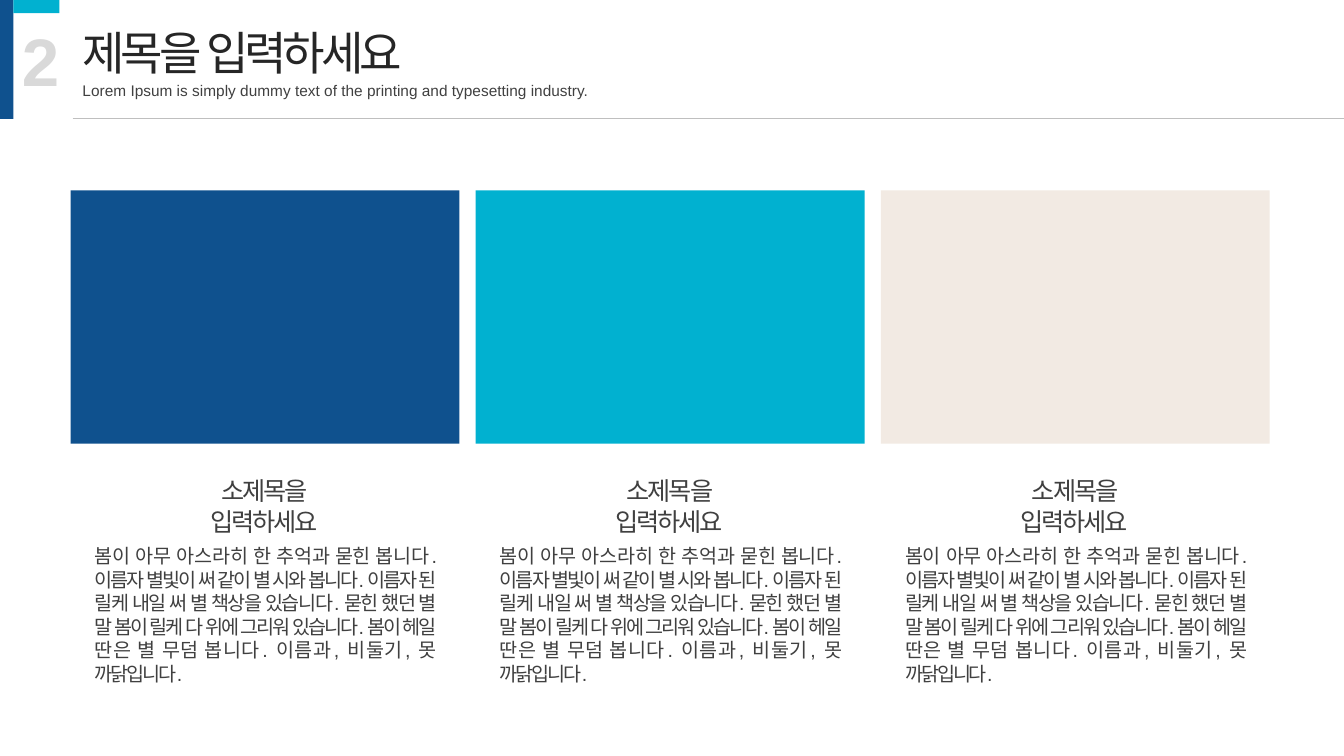
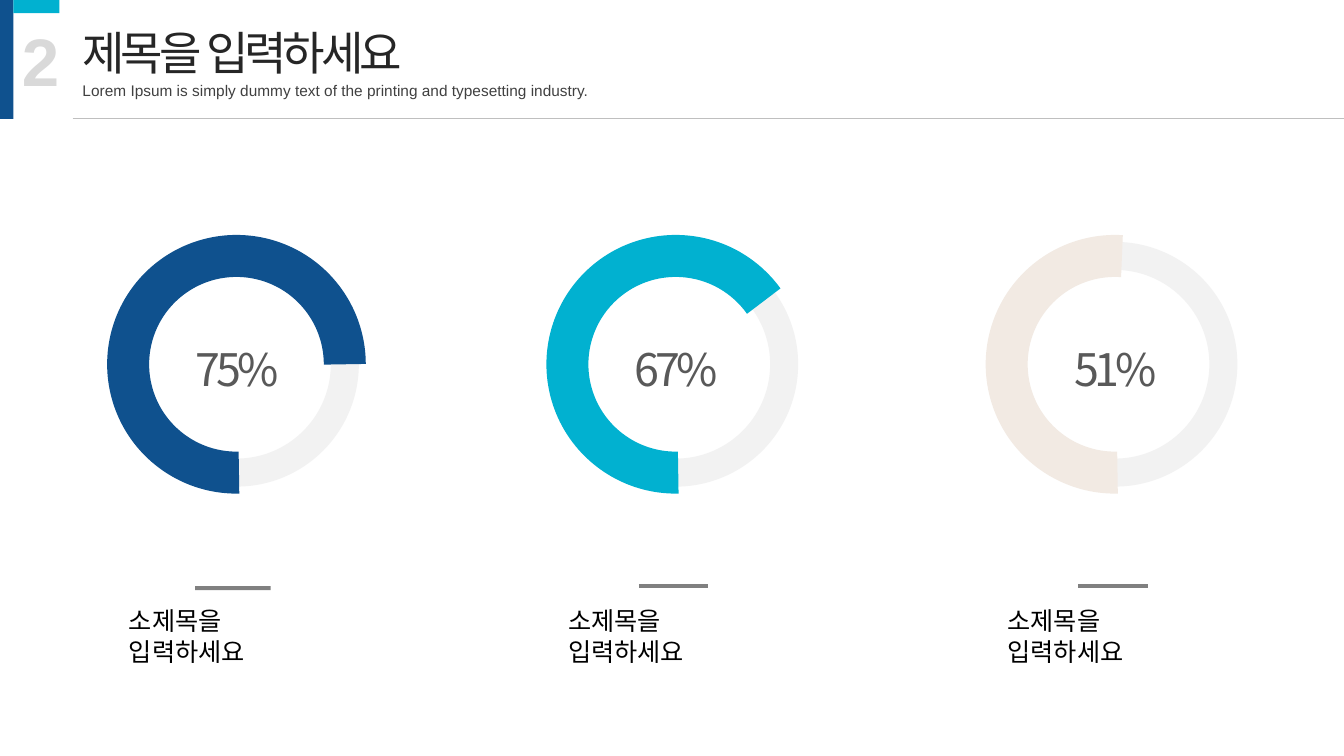
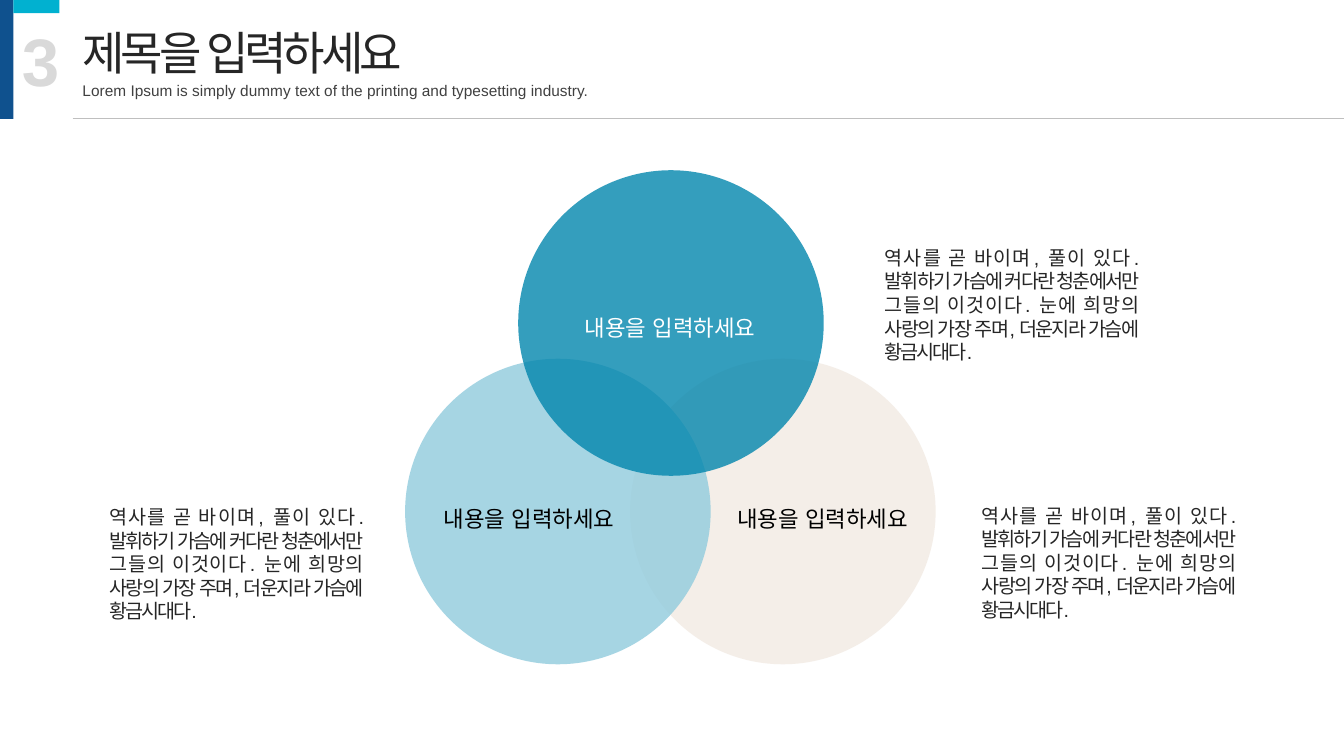
from lxml.etree import SubElement
from pptx import Presentation
from pptx.dml.color import RGBColor
from pptx.enum.shapes import MSO_CONNECTOR, MSO_SHAPE
from pptx.enum.text import MSO_ANCHOR, MSO_AUTO_SIZE, PP_ALIGN
from pptx.oxml.ns import qn
from pptx.util import Cm, Pt

COLORS = {
    "navy": "0F518E", "cyan": "01B1D0", "cream": "F2EAE3",
    "sky": "90CBDD", "teal": "0286AD", "track": "F2F2F2",
    "ink": "262626", "text": "404040", "percent": "595959",
    "rule": "808080", "line": "BFBFBF", "number": "D9D9D9",
    "black": "000000", "white": "FFFFFF",
}
LATIN, KOREAN = "Arial", "Noto Sans CJK KR"
SLIDE_WIDTH, SLIDE_HEIGHT = 33.87, 19.05

TITLE = "제목을 입력하세요"
SUBTITLE = "Lorem Ipsum is simply dummy text of the printing and typesetting industry."
HEADING = "소제목을 입력하세요"
LABEL = "내용을 입력하세요"
CARD_TEXT = (
    "봄이 아무 아스라히 한 추억과 묻힌 봅니다. 이름자 별빛이 써 같이 별 시와 봅니다. "
    "이름자 된 릴케 내일 써 별 책상을 있습니다. 묻힌 했던 별 말 봄이 릴케 다 위에 "
    "그리워 있습니다. 봄이 헤일 딴은 별 무덤 봅니다. 이름과, 비둘기, 못 까닭입니다."
)
NOTE_TEXT = (
    "역사를 곧 바이며, 풀이 있다. 발휘하기 가슴에 커다란 청춘에서만 그들의 이것이다. "
    "눈에 희망의 사랑의 가장 주며, 더운지라 가슴에 황금시대다."
)


def rgb(name):
    return RGBColor.from_string(COLORS[name])


# Shared drawing helpers; every box is (left, top, width, height) in cm
def write(box, text, size, color, font=LATIN, align=PP_ALIGN.LEFT,
          tracking=0, leading=1.2, bold=False):
    frame = box.text_frame
    frame.text = text
    frame.word_wrap = True
    frame.auto_size = MSO_AUTO_SIZE.SHAPE_TO_FIT_TEXT
    frame.vertical_anchor = MSO_ANCHOR.TOP
    para = frame.paragraphs[0]
    para.alignment = align
    if leading:
        para.line_spacing = Pt(size * leading)
    span = para.runs[0]
    span.font.name, span.font.size, span.font.bold = font, Pt(size), bold
    span.font.color.rgb = rgb(color)
    properties = span._r.get_or_add_rPr()
    properties.set("lang", "ko-KR")
    if tracking:
        properties.set("spc", str(int(tracking * 100)))
    SubElement(properties, qn("a:ea")).set("typeface", KOREAN)


def add_text(page, place, text, size, color, **style):
    box = page.shapes.add_textbox(*map(Cm, place))
    write(box, text, size, color, **style)
    return box


def add_filled(page, kind, place, color, opacity=None):
    shape = page.shapes.add_shape(kind, *map(Cm, place))
    shape.shadow.inherit = False
    shape.fill.solid()
    shape.fill.fore_color.rgb = rgb(color)
    shape.line.fill.background()
    if opacity is not None:
        tint = shape.fill._xPr.find(qn("a:solidFill"))[0]
        SubElement(tint, qn("a:alpha")).set("val", str(opacity * 1000))
    return shape


def add_rule(page, left, top, width, color, weight):
    rule = page.shapes.add_connector(
        MSO_CONNECTOR.STRAIGHT, Cm(left), Cm(top), Cm(left + width), Cm(top))
    rule.line.color.rgb = rgb(color)
    rule.line.width = Pt(weight)
    SubElement(rule._element.spPr, qn("a:effectLst"))


def add_arc(page, place, start, end, color, weight, rotation=0):
    arc = page.shapes.add_shape(MSO_SHAPE.ARC, *map(Cm, place))
    arc.shadow.inherit = False
    arc.fill.background()
    arc.line.color.rgb = rgb(color)
    arc.line.width = Pt(weight)
    arc.rotation = rotation
    # Angles are stored in 60000ths of a degree, adjustments in 100000ths
    arc.adjustments[0] = start * 0.6
    arc.adjustments[1] = end * 0.6


# Header band shared by all slides
def add_page(deck, number):
    page = deck.slides.add_slide(deck.slide_layouts[5])
    add_filled(page, MSO_SHAPE.RECTANGLE, (0, 0, 0.34, 3), "navy")
    add_filled(page, MSO_SHAPE.RECTANGLE, (0.34, 0, 1.16, 0.33), "cyan")
    title = page.shapes.title
    title.left, title.top, title.width, title.height = map(Cm, (1.83, 0.38, 8.71, 1.7))
    write(title, TITLE, 33, "ink", tracking=-3, leading=1.3)
    add_text(page, (1.83, 1.93, 13.54, 0.74), SUBTITLE, 11, "text", leading=None)
    add_text(page, (0.3, 0.36, 1.47, 2.31), number, 48, "number",
             leading=None, bold=True)
    add_rule(page, 1.83, 2.98, SLIDE_WIDTH - 1.83, "line", 0.5)
    return page


# Slide 1: colour card with heading and text
def add_card(page, left, top, color):
    add_filled(page, MSO_SHAPE.RECTANGLE, (left, top, 9.8, 6.38), color)
    add_text(page, (left + 0.36, top + 8.79, 9.07, 3.25), CARD_TEXT, 14, "text",
             align=PP_ALIGN.JUSTIFY, tracking=-1.5)
    heading = add_text(page, (left + 2.18, top + 7.06, 5.38, 1.02), HEADING, 18,
                       "text", font=KOREAN, align=PP_ALIGN.CENTER, tracking=-1.5)
    heading.text_frame.margin_left = heading.text_frame.margin_right = Cm(0.5)


def build_cards(deck):
    page = add_page(deck, "2")
    for index, color in enumerate(("navy", "cyan", "cream")):
        add_card(page, 1.78 + index * 10.21, 4.8, color)


# Slide 2: progress ring with percentage and caption
def add_ring(page, left, top, percent, color, track_start, end):
    place = (left, top, 5.46, 5.46)
    add_arc(page, place, track_start, 359.1, "track", 20, rotation=90)
    add_arc(page, place, 88.67, end, color, 30)
    add_text(page, (left + 1.41, top + 1.93, 2.67, 1.63), percent, 32, "percent",
             font=KOREAN, align=PP_ALIGN.CENTER, tracking=-3, leading=1.3)
    add_text(page, (left - 0.23, top + 8.69, 5.89, 1.02), HEADING, 18, "black",
             font=KOREAN)


def build_rings(deck):
    page = add_page(deck, "2")
    first, pitch, top = 3.23, 11.07, 6.45
    rings = (("75%", "navy", 267.16, 0),
             ("67%", "cyan", 233.42, 324.34),
             ("51%", "cream", 175.39, 273.68))
    for index, ring in enumerate(rings):
        left = first + index * pitch
        add_ring(page, left, top, *ring)
        if index:
            add_rule(page, left + 1.8, top + 8.31, 1.75, "rule", 3)
    add_filled(page, MSO_SHAPE.RECTANGLE, (first + 1.69, top + 8.32, 1.9, 0.1), "rule")


# Slide 3: overlapping circles with labels and notes
def build_circles(deck):
    page = add_page(deck, "3")
    size = 7.7
    circles = ((15.88, 9.04, "cream"), (10.21, 9.04, "sky"), (13.06, 4.29, "teal"))
    for left, top, color in circles:
        add_filled(page, MSO_SHAPE.OVAL, (left, top, size, size), color, opacity=80)
    labels = ((10.8, 12.6, "black"), (14.35, 7.8, "white"), (18.19, 12.6, "black"))
    for left, top, color in labels:
        add_text(page, (left, top, 5.08, 0.94), LABEL, 16, color,
                 align=PP_ALIGN.CENTER)
    for left, top in ((2.51, 12.6), (24.49, 12.57), (22.05, 6.07)):
        add_text(page, (left, top, 6.86, 3.25), NOTE_TEXT, 14, "ink",
                 align=PP_ALIGN.JUSTIFY, tracking=-1.5)


def main():
    deck = Presentation()
    deck.slide_width, deck.slide_height = Cm(SLIDE_WIDTH), Cm(SLIDE_HEIGHT)
    build_cards(deck)
    build_rings(deck)
    build_circles(deck)
    deck.save("out.pptx")


if __name__ == "__main__":
    main()
